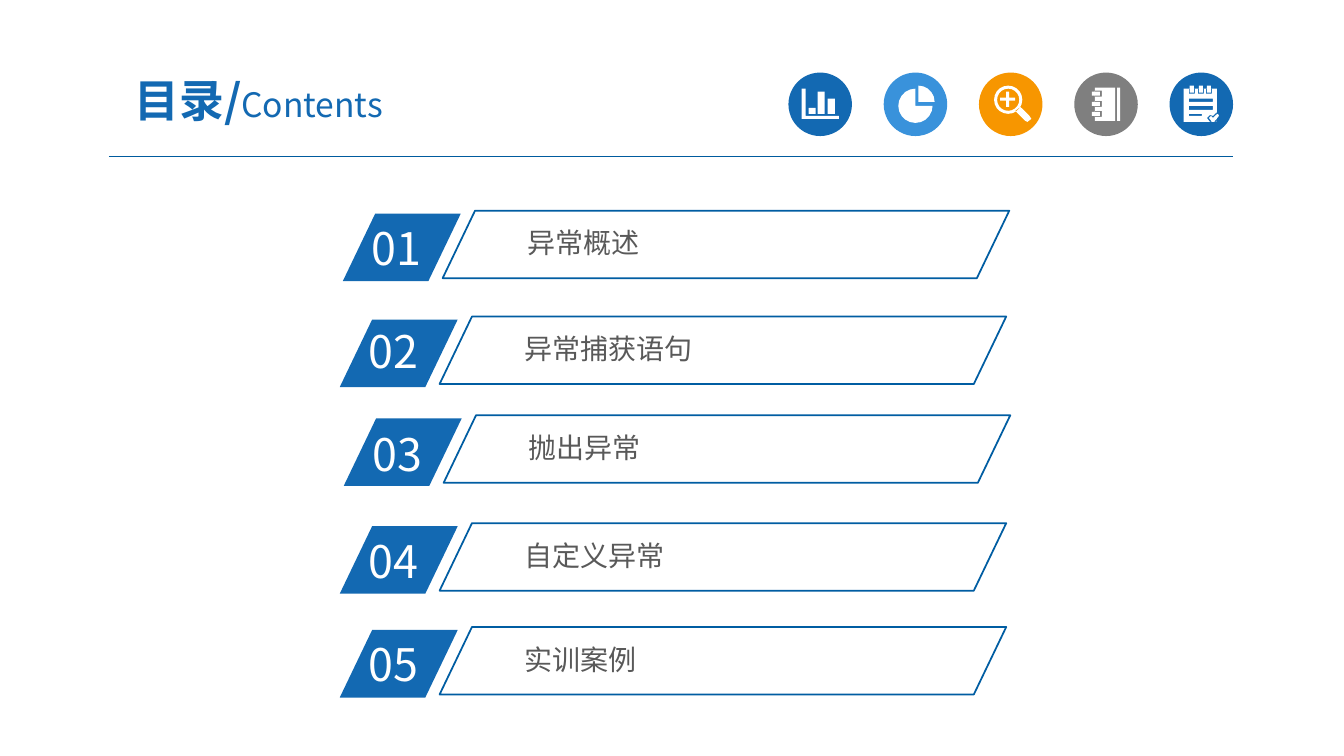
"""Build the contents slide with its header icons and five numbered rows."""
import math
from dataclasses import dataclass

import lxml.etree
import pptx
import pptx.dml.color
import pptx.enum.shapes
import pptx.enum.text
import pptx.oxml.ns
import pptx.util

Inches = pptx.util.Inches
Kind = pptx.enum.shapes.MSO_SHAPE
Align = pptx.enum.text.PP_ALIGN
Anchor = pptx.enum.text.MSO_ANCHOR
Fit = pptx.enum.text.MSO_AUTO_SIZE
Point = tuple[float, float]
Ring = list[Point]

FONT = "Noto Sans CJK SC"
BLUE, WHITE, GREY = "1369B2", "FFFFFF", "595959"


@dataclass
class Icon:
    fill: str
    rings: list[Ring]


@dataclass
class Row:
    num: str
    label: str
    left: float
    top: float
    drop: float


def color(code: str) -> pptx.dml.color.RGBColor:
    return pptx.dml.color.RGBColor.from_string(code)


def arc(x: float, y: float, r: float, start: int, stop: int) -> Ring:
    steps = (stop - start) // 18
    turns = [math.radians(start + 18 * i) for i in range(steps + 1)]
    return [(x + r * math.cos(t), y + r * math.sin(t)) for t in turns]


def box(x: float, y: float, w: float, h: float) -> Ring:
    return [(x, y), (x + w, y), (x + w, y + h), (x, y + h)]


def paint(shape, fill: str = "", line: str = "", width: float = 1) -> None:
    shape.shadow.inherit = False
    if fill:
        shape.fill.solid()
        shape.fill.fore_color.rgb = color(fill)
    else:
        shape.fill.background()
    if line:
        shape.line.color.rgb = color(line)
        shape.line.width = pptx.util.Pt(width)
    else:
        shape.line.fill.background()


def slant(slide, left: float, top: float, width: float, fill: str = "", line: str = "") -> None:
    shape = slide.shapes.add_shape(
        Kind.PARALLELOGRAM, Inches(left), Inches(top), Inches(width), Inches(0.67))
    shape.adjustments[0] = 0.48
    paint(shape, fill, line, 1.25)


def style(run, size: int, code: str, bold: bool = False) -> None:
    run.font.size = pptx.util.Pt(size)
    run.font.bold = bold
    run.font.color.rgb = color(code)
    run.font.name = FONT
    east = lxml.etree.SubElement(run._r.get_or_add_rPr(), pptx.oxml.ns.qn("a:ea"))
    east.set("typeface", FONT)


def write(slide, text: str, at: tuple, *, size: int, code: str, bold: bool = False,
          pad: Point = (0.1, 0.05), align=Align.LEFT, anchor=Anchor.TOP, fit=Fit.NONE):
    frame = slide.shapes.add_textbox(*map(Inches, at)).text_frame
    frame.word_wrap = True
    frame.auto_size = fit
    frame.vertical_anchor = anchor
    frame.margin_left = frame.margin_right = Inches(pad[0])
    frame.margin_top = frame.margin_bottom = Inches(pad[1])
    para = frame.paragraphs[0]
    para.alignment = align
    run = para.add_run()
    run.text = text
    style(run, size, code, bold)
    return para


def draw_icon(slide, icon: Icon, left: float) -> None:
    disc = slide.shapes.add_shape(
        Kind.OVAL, Inches(left), Inches(0.72), Inches(0.63), Inches(0.63))
    paint(disc, icon.fill)
    rings = [[(Inches(x), Inches(y)) for x, y in ring] for ring in icon.rings]
    pen = slide.shapes.build_freeform(*rings[0][0])
    for i, ring in enumerate(rings):
        if i:
            pen.move_to(*ring[0])
        pen.add_line_segments(ring[1:], close=True)
    paint(pen.convert_to_shape(), WHITE)


def draw_row(slide, row: Row) -> None:
    slant(slide, row.left, row.top, 1.17, fill=BLUE)
    write(slide, row.num, (row.left + 0.19, row.top + row.drop, 1.12, 0.64),
          size=32, code=WHITE, fit=Fit.SHAPE_TO_FIT_TEXT)
    write(slide, row.label, (row.left + 1.76, row.top + 0.08, 4.12, 0.41),
          size=20, code=GREY, pad=(0.07, 0.04), fit=Fit.SHAPE_TO_FIT_TEXT)
    slant(slide, row.left + 0.99, row.top - 0.03, 5.62, line="005DA2")


BARS = [
    [(7.95, 0.88), (7.99, 0.88), (7.99, 1.15), (8.32, 1.15), (8.32, 1.18), (7.95, 1.18)],
    box(8.02, 1.07, 0.07, 0.06), box(8.11, 0.91, 0.07, 0.22), box(8.21, 0.98, 0.07, 0.15),
]
PIE = [
    [(9.11, 1.01)] + arc(9.11, 1.01, 0.16, -90, 0),
    [(9.08, 1.05)] + arc(9.08, 1.05, 0.17, 0, 270),
]
LENS = [
    arc(10, 0.99, 0.14, 0, 342), arc(10, 0.99, 0.11, 0, 342),
    [(9.98, 0.91), (10.01, 0.91), (10.01, 0.97), (10.07, 0.97), (10.07, 1), (10.01, 1),
     (10.01, 1.06), (9.98, 1.06), (9.98, 1), (9.92, 1), (9.92, 0.97), (9.98, 0.97)],
    [(10.07, 1.1), (10.12, 1.06), (10.21, 1.15), (10.23, 1.18), (10.19, 1.21), (10.17, 1.2)],
]
BOOK = [box(11.08, 0.87, 0.03, 0.33), box(10.86, 0.87, 0.2, 0.33)]
for mid in (0.93, 1.03, 1.13):
    BOOK += [box(10.86, mid - 0.03, 0.07, 0.06), box(10.83, mid - 0.02, 0.08, 0.04)]
PAD = [
    box(11.74, 0.88, 0.33, 0.33),
    box(11.79, 0.98, 0.24, 0.03), box(11.79, 1.05, 0.24, 0.04), box(11.79, 1.13, 0.13, 0.02),
    [(11.97, 1.17), (12, 1.14), (12.03, 1.15), (12.07, 1.11), (12.07, 1.21), (12, 1.21)],
    [(11.99, 1.17), (12.01, 1.15), (12.03, 1.17), (12.06, 1.14), (12.08, 1.13),
     (12.09, 1.15), (12.04, 1.21), (12.02, 1.21)],
]
for mid in (11.82, 11.91, 11.99):
    PAD += [box(mid - 0.03, 0.88, 0.06, 0.05), box(mid - 0.02, 0.85, 0.04, 0.07)]

ICONS = [Icon(BLUE, BARS), Icon("3992DB", PIE), Icon("F79600", LENS),
         Icon("7F7F7F", BOOK), Icon(BLUE, PAD)]
ROWS = [
    Row("01", "异常概述", 3.4, 2.12, 0.02),
    Row("02", "异常捕获语句", 3.37, 3.17, -0.01),
    Row("03", "抛出异常", 3.41, 4.15, 0.03),
    Row("04", "自定义异常", 3.37, 5.22, 0.03),
    Row("05", "实训案例", 3.37, 6.25, 0.02),
]


def main() -> None:
    deck = pptx.Presentation()
    deck.slide_width, deck.slide_height = Inches(13.33), Inches(7.5)
    slide = deck.slides.add_slide(deck.slide_layouts[6])
    rule = slide.shapes.add_connector(
        pptx.enum.shapes.MSO_CONNECTOR.STRAIGHT,
        Inches(1.08), Inches(1.55), Inches(12.23), Inches(1.55))
    rule.line.color.rgb = color("005B9E")
    rule.line.width = pptx.util.Pt(0.75)
    lxml.etree.SubElement(rule._element.spPr, pptx.oxml.ns.qn("a:effectLst"))
    for i, icon in enumerate(ICONS):
        draw_icon(slide, icon, 7.82 + i * 0.945)
    title = write(slide, "目录/", (0.92, 0.63, 3.29, 0.72), size=32, code=BLUE, bold=True,
                  pad=(0.13, 0.07), align=Align.CENTER, anchor=Anchor.MIDDLE)
    run = title.add_run()
    run.text = "Contents"
    style(run, 24, BLUE)
    for row in ROWS:
        draw_row(slide, row)
    deck.save("out.pptx")


if __name__ == "__main__":
    main()
